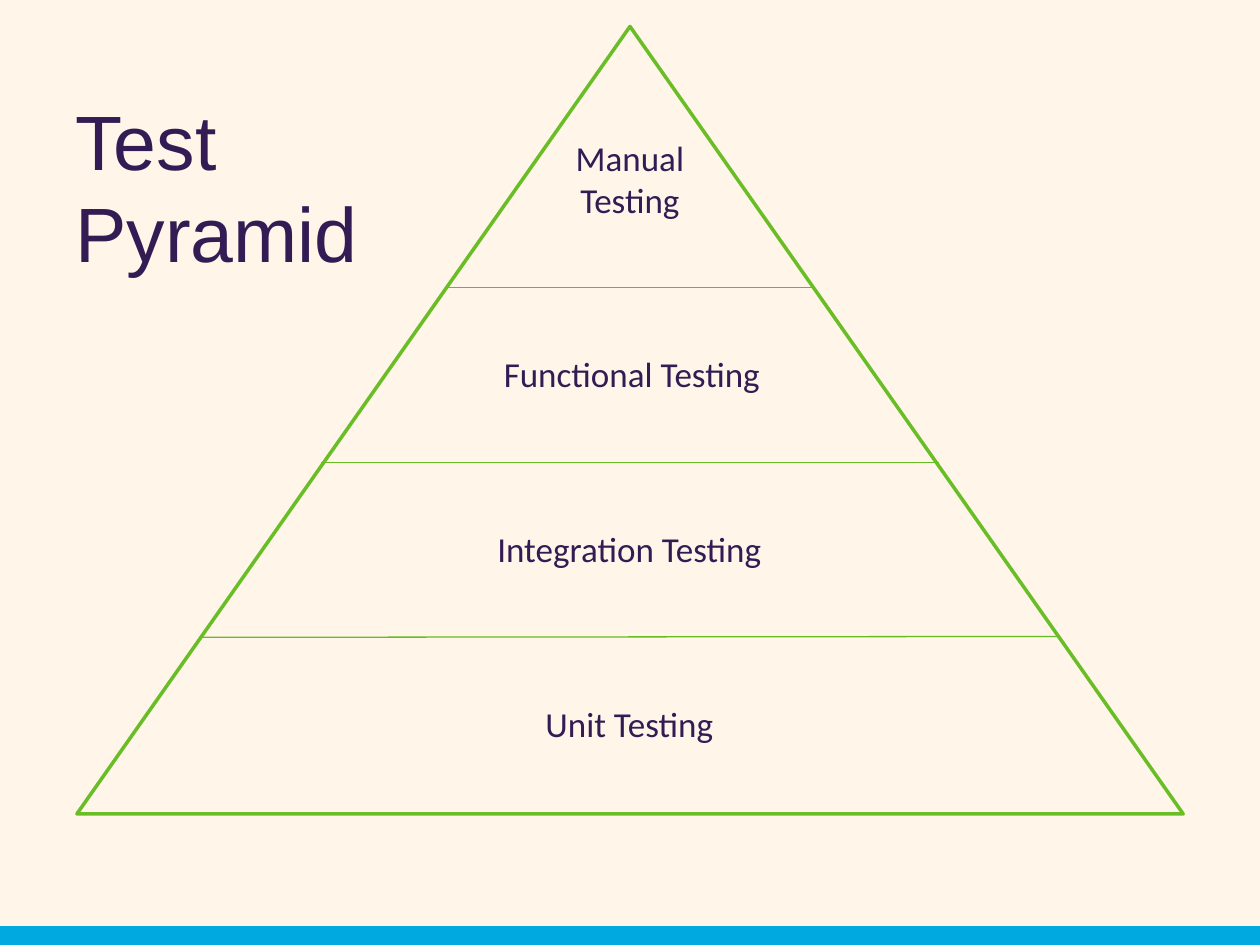
from typing import NamedTuple, Optional

from lxml.etree import SubElement
from pptx import Presentation
from pptx.dml.color import RGBColor
from pptx.enum.shapes import MSO_CONNECTOR, MSO_SHAPE
from pptx.enum.text import MSO_ANCHOR as Anchor, MSO_AUTO_SIZE as AutoSize, PP_ALIGN as Align
from pptx.oxml.ns import qn
from pptx.util import Pt


class Theme(NamedTuple):
    background: RGBColor = RGBColor.from_string("FFF5E9")
    footer: RGBColor = RGBColor.from_string("00A9E0")
    outline: RGBColor = RGBColor.from_string("69BE28")
    divider: RGBColor = RGBColor.from_string("66BD23")
    ink: RGBColor = RGBColor.from_string("331C54")
    title_font: str = "Arial"
    label_font: str = "Calibri"
    title_size: float = 44
    label_size: float = 20
    outline_width: float = 2
    divider_width: float = 0.75


class Box(NamedTuple):
    left: float
    top: float
    width: float
    height: float

    def in_points(self) -> list:
        return [Pt(value) for value in self]


class Label(NamedTuple):
    lines: tuple
    box: Box


class Divider(NamedTuple):
    left: float
    right: float
    left_y: float
    right_y: float


THEME = Theme()
SLIDE_WIDTH, SLIDE_HEIGHT = 720, 540
FOOTER = Box(0, 529.2, SLIDE_WIDTH, 10.8)
PYRAMID = Box(43.9, 15.1, 632.2, 450)
TITLE = Label(("Test Pyramid",), Box(36, 21.6, 187.2, 169.2))
DIVIDER_TOP, TIER_STEP = 164.2, 100
LABEL_TOP, LABEL_HEIGHT = 198, 31.7

TOP_LABEL = Label(("Manual", "Testing"), Box(320.4, 74.2, 79.2, 55.4))
TIERS = [("Functional Testing", 277.9, 166.3),
         ("Integration Testing", 267.1, 185),
         ("Unit Testing", 280.8, 157.7)]
LABELS = [TOP_LABEL] + [
    Label((name,), Box(left, LABEL_TOP + tier * TIER_STEP, width, LABEL_HEIGHT))
    for tier, (name, left, width) in enumerate(TIERS)]
DIVIDER_SPANS = [(256.3, 465.1, 0), (183.6, 536.4, 0), (113.8, 604.1, -0.5)]
DIVIDERS = [
    Divider(left, right, DIVIDER_TOP + tier * TIER_STEP, DIVIDER_TOP + tier * TIER_STEP + rise)
    for tier, (left, right, rise) in enumerate(DIVIDER_SPANS)]

TITLE_FRAME = {"word_wrap": True, "auto_size": AutoSize.NONE, "vertical_anchor": Anchor.MIDDLE}
LABEL_FRAME = {"word_wrap": True, "auto_size": AutoSize.SHAPE_TO_FIT_TEXT,
               "vertical_anchor": Anchor.TOP}
TITLE_FONT = {"name": THEME.title_font, "size": Pt(THEME.title_size)}
LABEL_FONT = {"name": THEME.label_font, "size": Pt(THEME.label_size)}


def set_all(target, values: dict) -> None:
    for name, value in values.items():
        setattr(target, name, value)


def draw_shape(slide, preset, box: Box, fill: RGBColor, outline: Optional[RGBColor] = None) -> None:
    shape = slide.shapes.add_shape(preset, *box.in_points())
    shape.shadow.inherit = False
    shape.fill.solid()
    shape.fill.fore_color.rgb = fill
    if outline is None:
        shape.line.fill.background()
    else:
        shape.line.color.rgb = outline
        shape.line.width = Pt(THEME.outline_width)


def draw_divider(slide, divider: Divider) -> None:
    line = slide.shapes.add_connector(
        MSO_CONNECTOR.STRAIGHT, Pt(divider.left), Pt(divider.left_y),
        Pt(divider.right), Pt(divider.right_y))
    line.line.color.rgb = THEME.divider
    line.line.width = Pt(THEME.divider_width)
    SubElement(line._element.spPr, qn("a:effectLst"))


def draw_label(slide, label: Label, frame_format: dict, font_format: dict, align: Align) -> None:
    frame = slide.shapes.add_textbox(*label.box.in_points()).text_frame
    set_all(frame, frame_format)
    frame.text = "\n".join(label.lines)
    for paragraph in frame.paragraphs:
        paragraph.alignment = align
        set_all(paragraph.font, font_format)
        paragraph.font.color.rgb = THEME.ink


def main() -> None:
    deck = Presentation()
    deck.slide_width, deck.slide_height = Pt(SLIDE_WIDTH), Pt(SLIDE_HEIGHT)
    slide = deck.slides.add_slide(deck.slide_layouts[6])
    slide.background.fill.solid()
    slide.background.fill.fore_color.rgb = THEME.background

    draw_shape(slide, MSO_SHAPE.RECTANGLE, FOOTER, THEME.footer)
    draw_shape(slide, MSO_SHAPE.ISOSCELES_TRIANGLE, PYRAMID, THEME.background, THEME.outline)
    for divider in DIVIDERS:
        draw_divider(slide, divider)
    for label in LABELS:
        draw_label(slide, label, LABEL_FRAME, LABEL_FONT, Align.CENTER)
    draw_label(slide, TITLE, TITLE_FRAME, TITLE_FONT, Align.LEFT)
    deck.save("out.pptx")


if __name__ == "__main__":
    main()
